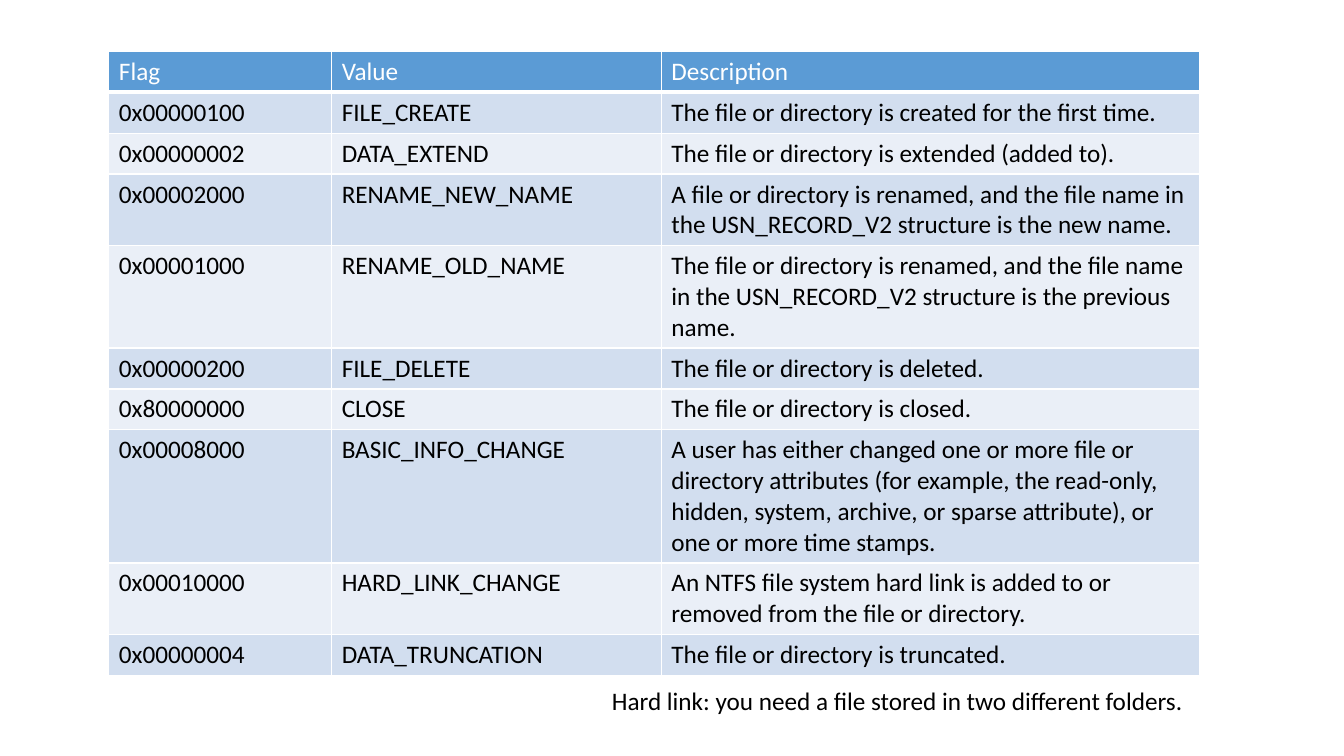
from pptx import Presentation
from pptx.dml.color import RGBColor
from pptx.enum.text import MSO_AUTO_SIZE
from pptx.oxml import parse_xml
from pptx.oxml.ns import nsdecls
from pptx.util import Inches, Pt

GROW = MSO_AUTO_SIZE.SHAPE_TO_FIT_TEXT
COLORS = {"header": "5B9BD5", "odd": "D2DEEF", "even": "EAEFF7",
          "white": "FFFFFF", "text": "000000"}
FONT_FORMAT = {"name": "Calibri", "size": Pt(18), "bold": False}

TABLE_BOX = (1.08, 0.51, 10.83, 6.13)
NOTE_BOX = (5.97, 6.75, 5.94, 0.4)
COLUMN_WIDTHS = (2.21, 3.27, 5.34)
ROW_HEIGHT = 0.4
BORDER, HEADER_RULE = 1, 3

FLAGS = [
    ("Flag", "Value", "Description"),
    ("0x00000100", "FILE_CREATE",
     "The file or directory is created for the first time."),
    ("0x00000002", "DATA_EXTEND",
     "The file or directory is extended (added to)."),
    ("0x00002000", "RENAME_NEW_NAME",
     "A file or directory is renamed, and the file name in "
     "the USN_RECORD_V2 structure is the new name."),
    ("0x00001000", "RENAME_OLD_NAME",
     "The file or directory is renamed, and the file name in "
     "the USN_RECORD_V2 structure is the previous name."),
    ("0x00000200", "FILE_DELETE", "The file or directory is deleted."),
    ("0x80000000", "CLOSE", "The file or directory is closed."),
    ("0x00008000", "BASIC_INFO_CHANGE",
     "A user has either changed one or more file or directory attributes "
     "(for example, the read-only, hidden, system, archive, or sparse "
     "attribute), or one or more time stamps."),
    ("0x00010000", "HARD_LINK_CHANGE",
     "An NTFS file system hard link is added to or removed from "
     "the file or directory."),
    ("0x00000004", "DATA_TRUNCATION", "The file or directory is truncated."),
]
NOTE = "Hard link: you need a file stored in two different folders."


def write(frame, text, color):
    frame.text = text
    font = frame.paragraphs[0].runs[0].font
    for attribute, value in FONT_FORMAT.items():
        setattr(font, attribute, value)
    font.color.rgb = RGBColor.from_string(COLORS[color])


def add_borders(cell, top, bottom):
    """Draw white cell edges; the borders go ahead of the fill in the XML."""
    widths = {"lnL": BORDER, "lnR": BORDER, "lnT": top, "lnB": bottom}
    properties = cell._tc.get_or_add_tcPr()
    for position, (edge, width) in enumerate(widths.items()):
        properties.insert(position, parse_xml(
            f'<a:{edge} {nsdecls("a")} w="{Pt(width)}"><a:solidFill>'
            f'<a:srgbClr val="{COLORS["white"]}"/></a:solidFill></a:{edge}>'))


def add_flag_table(slide, box):
    table = slide.shapes.add_table(
        len(FLAGS), len(COLUMN_WIDTHS), *map(Inches, box)).table
    for column, width in zip(table.columns, COLUMN_WIDTHS):
        column.width = Inches(width)
    for number, entries in enumerate(FLAGS):
        table.rows[number].height = Inches(ROW_HEIGHT)
        is_header = number == 0
        band = "header" if is_header else ("even", "odd")[number % 2]
        for cell, entry in zip(table.rows[number].cells, entries):
            write(cell.text_frame, entry, "white" if is_header else "text")
            cell.fill.solid()
            cell.fill.fore_color.rgb = RGBColor.from_string(COLORS[band])
            add_borders(cell, HEADER_RULE if number == 1 else BORDER,
                        HEADER_RULE if is_header else BORDER)


def add_note(slide, box):
    frame = slide.shapes.add_textbox(*map(Inches, box)).text_frame
    frame.word_wrap = False
    frame.auto_size = GROW
    write(frame, NOTE, "text")


def main():
    deck = Presentation()
    deck.slide_width, deck.slide_height = Inches(13.33), Inches(7.5)
    slide = deck.slides.add_slide(deck.slide_layouts[6])
    add_flag_table(slide, TABLE_BOX)
    add_note(slide, NOTE_BOX)
    deck.save("out.pptx")


if __name__ == "__main__":
    main()
